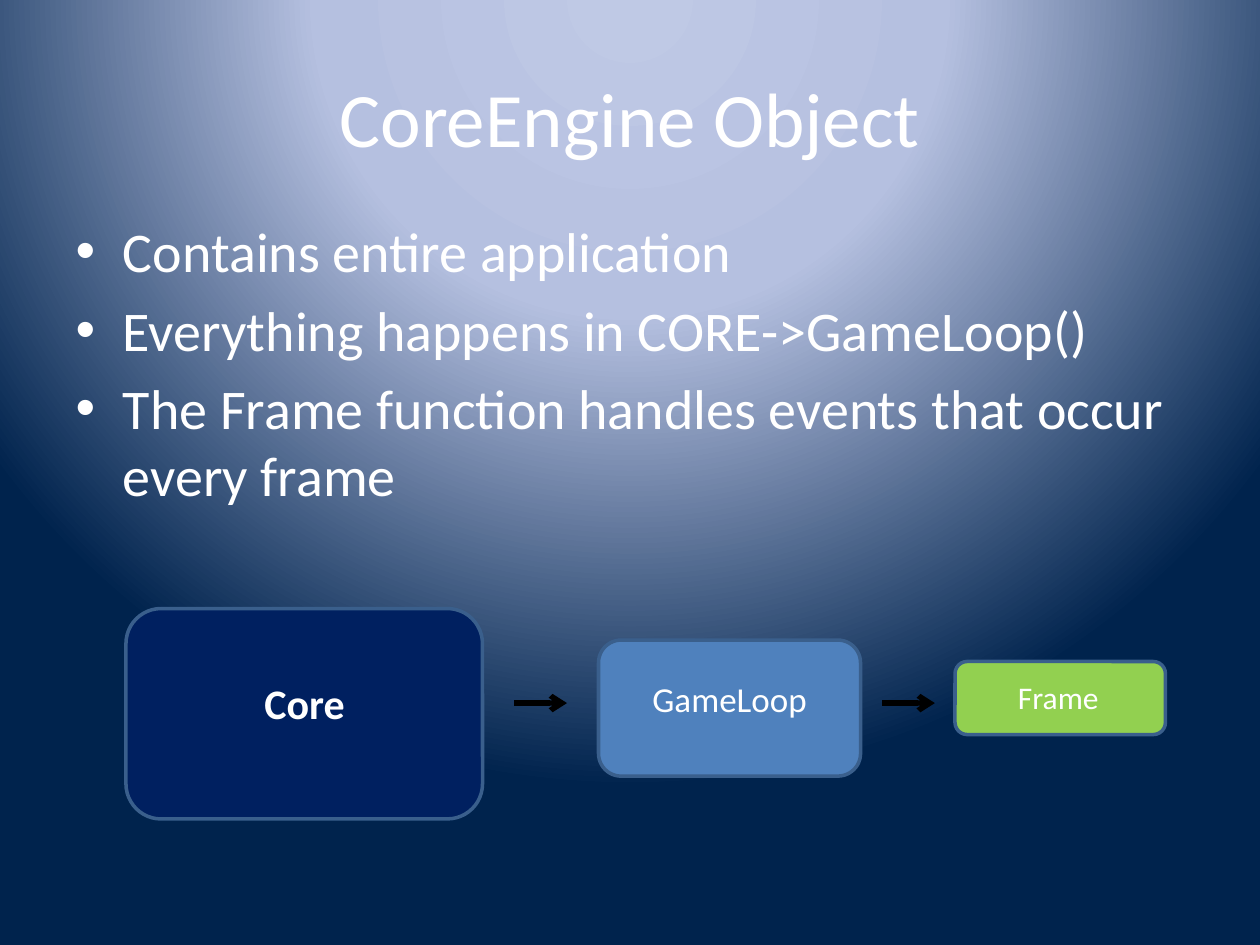
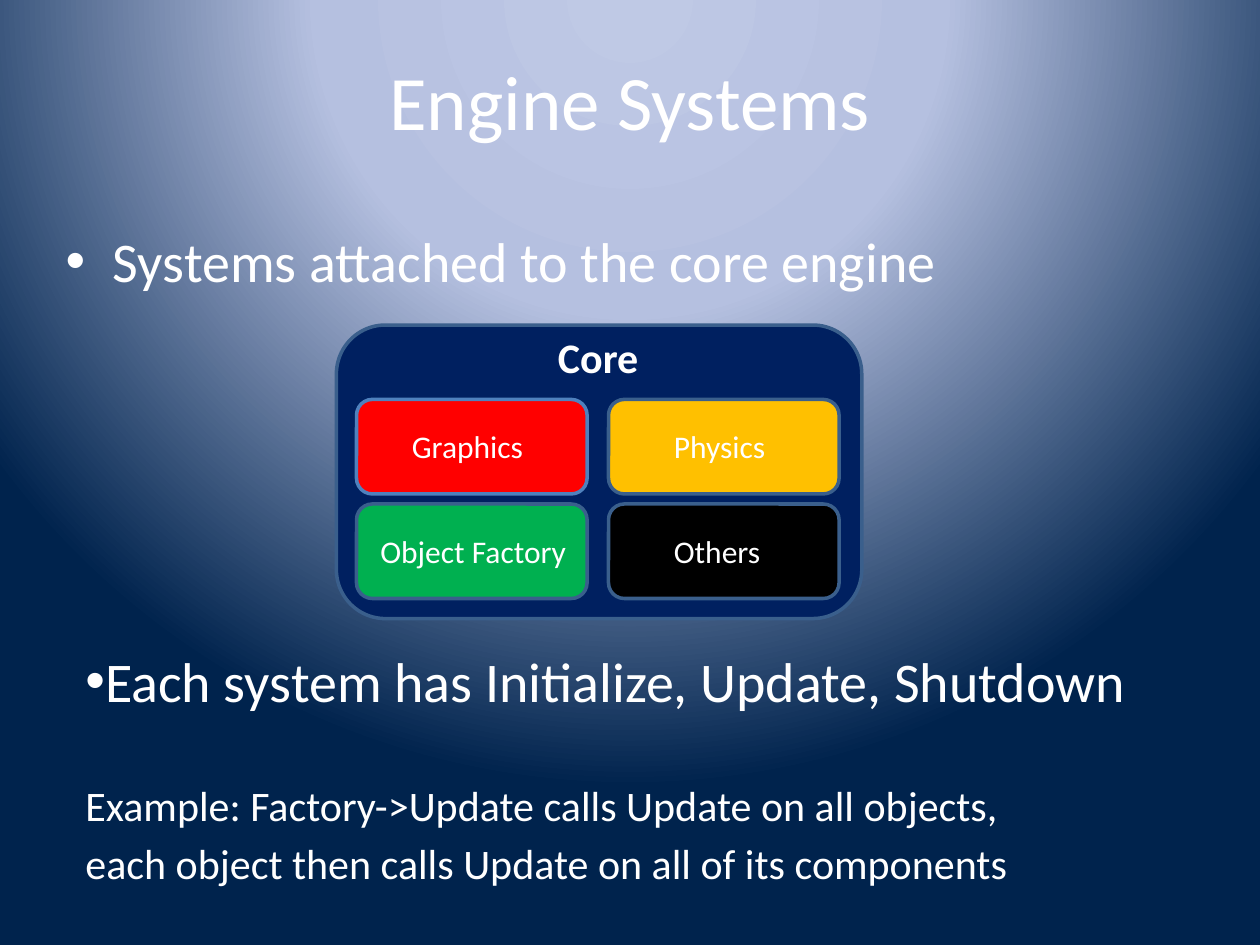
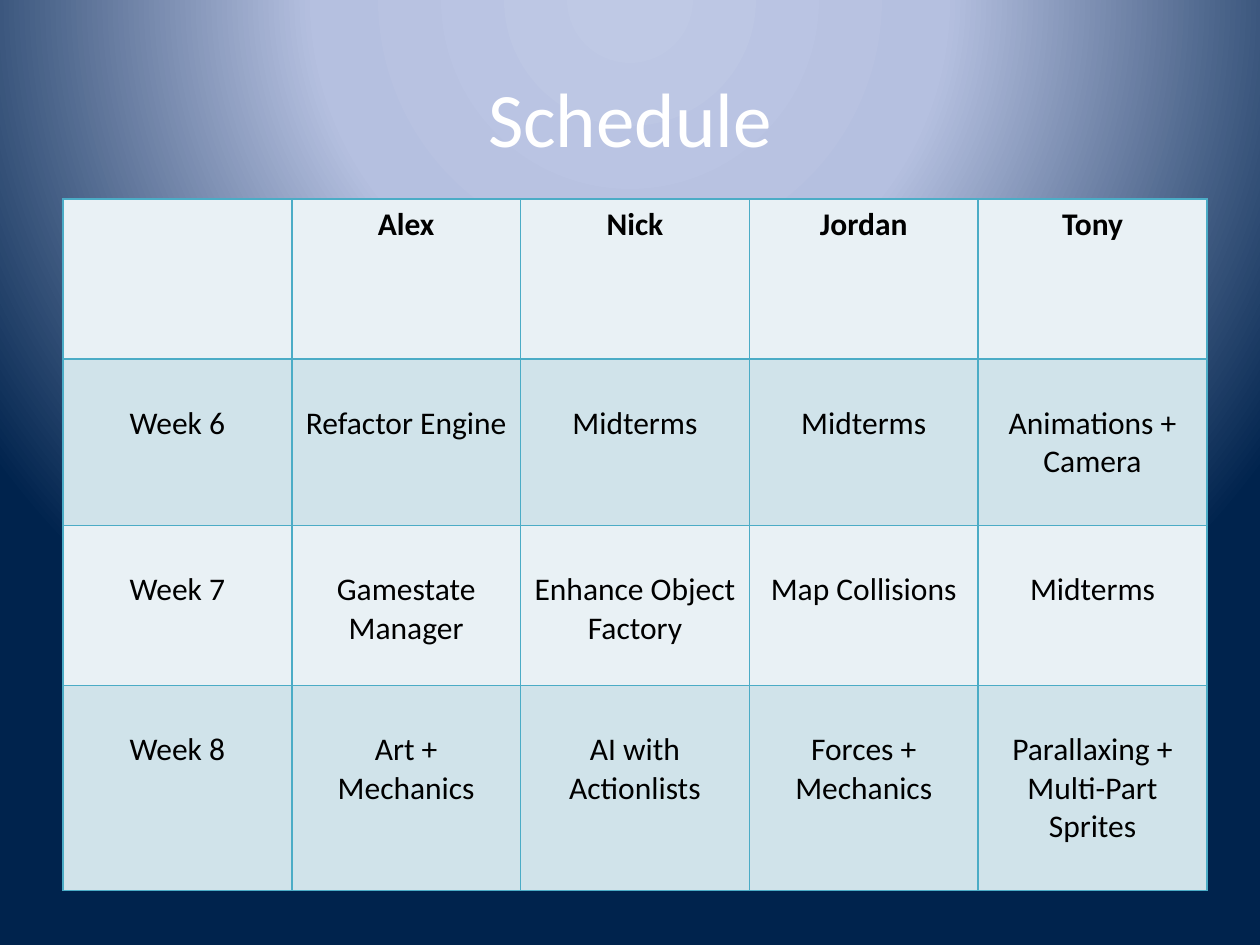
from pptx import Presentation
from pptx.dml.color import RGBColor
from pptx.enum.shapes import MSO_CONNECTOR, MSO_SHAPE
from pptx.enum.text import MSO_ANCHOR, MSO_AUTO_SIZE, PP_ALIGN
from pptx.oxml import parse_xml
from pptx.oxml.ns import nsdecls, qn
from pptx.util import Inches, Pt
from lxml.etree import SubElement

# Shared look
FONT = "Calibri"
WHITE, BLACK, NAVY = "FFFFFF", "000000", "002060"
EDGE, BLUE, TEAL = "3A5F8C", "4F81BD", "4BACC6"
BANDS = ("E9F1F5", "D0E3EA")
BACKGROUND_STOPS = ((0, "BFC9E5"), (40, "B5C0E0"), (100, "00234D"))
TITLE_ONLY, TITLE_AND_BODY = 5, 1

# Slide 1: box place, fill, label, label place, size, bold
CORE_BULLETS = (
    "Contains entire application",
    "Everything happens in CORE->GameLoop()",
    "The Frame function handles events that occur every frame",
)
CALL_CHAIN = (
    ((1, 4.83, 2.83, 1.67), NAVY, "Core", (2, 5.33, 0.84, 0.5), 24, True),
    ((4.75, 5.08, 2.08, 1.08), BLUE, "GameLoop", (5.08, 5.33, 1.44, 0.44), 20, False),
    ((7.58, 5.25, 1.67, 0.58), "92D050", "Frame", (7.98, 5.33, 0.85, 0.4), 18, False),
)
CALL_ARROWS = (4.08, 7)
ARROW_LENGTH, ARROW_Y = 0.42, 5.58

# Slide 2: name, fill, edge, label left, label width; two per row
SYSTEMS_BULLETS = ("Systems attached to the core engine",)
ENGINE_SYSTEMS = (
    ("Graphics", "FF0000", BLUE, 3.17, 1.09),
    ("Physics", "FFC000", EDGE, 5.25, 0.93),
    ("Object Factory", "00B050", EDGE, 2.92, 1.69),
    ("Others", BLACK, EDGE, 5.25, 0.89),
)
SYSTEM_LEFT, SYSTEM_TOP, SYSTEM_W, SYSTEM_H = 2.83, 3.17, 1.83, 0.75
SYSTEM_STEP_X, SYSTEM_STEP_Y = 2, 0.83
# text, size, space before
SYSTEM_NOTES = (
    ("Each system has Initialize, Update, Shutdown", 32, 0),
    ("Example: Factory->Update calls Update on all objects,", 24, 38),
    ("each object then calls Update on all of its components", 24, 4),
)

# Slide 3: a tuple in a cell is one paragraph per entry
SCHEDULE = (
    ("", "Alex", "Nick", "Jordan", "Tony"),
    ("Week 6", "Refactor Engine", "Midterms", "Midterms", ("Animations +", "Camera")),
    ("Week 7", "Gamestate Manager", "Enhance Object Factory", "Map Collisions", "Midterms"),
    ("Week 8", ("Art +", "Mechanics"), "AI with Actionlists", "Forces + Mechanics",
     ("Parallaxing +", "Multi-Part Sprites")),
)
ROW_HEIGHTS = (1.27, 1.32, 1.27, 1.63)
SCHEDULE_LEFT, SCHEDULE_TOP, SCHEDULE_W = 0.5, 1.58, 9.08


def rgb(color):
    return RGBColor.from_string(color)


def inches(place):
    return [Inches(length) for length in place]


def add_run(paragraph, text, size, color=WHITE, bold=False):
    run = paragraph.add_run()
    run.text = text
    run.font.name, run.font.size, run.font.bold = FONT, Pt(size), bold
    run.font.color.rgb = rgb(color)


def paragraphs(frame, count):
    """Give the frame this many paragraphs and return them."""
    for _ in range(count - 1):
        frame.add_paragraph()
    return frame.paragraphs


def move(shape, place):
    shape.left, shape.top, shape.width, shape.height = inches(place)


def set_background(master):
    stops = "".join(
        f'<a:gs pos="{pos * 1000}"><a:srgbClr val="{color}"/></a:gs>'
        for pos, color in BACKGROUND_STOPS)
    background = parse_xml(
        f'<p:bg {nsdecls("p", "a")}><p:bgPr><a:gradFill rotWithShape="1">'
        f'<a:gsLst>{stops}</a:gsLst><a:path path="circle">'
        '<a:fillToRect l="50000" t="-80000" r="50000" b="180000"/></a:path>'
        '</a:gradFill><a:effectLst/></p:bgPr></p:bg>')
    common = master.element.cSld
    for old in common.findall(qn("p:bg")):
        common.remove(old)
    common.insert(0, background)


def add_slide(deck, layout, title, title_top=0.3):
    slide = deck.slides.add_slide(deck.slide_layouts[layout])
    heading = slide.shapes.title
    move(heading, (0.5, title_top, 9, 1.25))
    heading.text_frame.vertical_anchor = MSO_ANCHOR.MIDDLE
    paragraph = heading.text_frame.paragraphs[0]
    paragraph.alignment = PP_ALIGN.CENTER
    add_run(paragraph, title, 44)
    return slide


def fill_body(slide, bullets, place):
    body = slide.placeholders[1]
    move(body, place)
    for paragraph, bullet in zip(paragraphs(body.text_frame, len(bullets)), bullets):
        add_run(paragraph, bullet, 32)


def add_box(slide, place, fill, edge=EDGE):
    box = slide.shapes.add_shape(MSO_SHAPE.ROUNDED_RECTANGLE, *inches(place))
    box.shadow.inherit = False
    box.fill.solid()
    box.fill.fore_color.rgb = rgb(fill)
    box.line.color.rgb = rgb(edge)
    box.line.width = Pt(2)


def add_label(slide, text, place, size, bold=False):
    frame = slide.shapes.add_textbox(*inches(place)).text_frame
    frame.word_wrap = False
    frame.auto_size = MSO_AUTO_SIZE.SHAPE_TO_FIT_TEXT
    add_run(frame.paragraphs[0], text, size, bold=bold)


def add_arrow(slide, left, y, length):
    arrow = slide.shapes.add_connector(
        MSO_CONNECTOR.STRAIGHT, *inches((left, y, left + length, y)))
    arrow.line.color.rgb = rgb(BLACK)
    arrow.line.width = Pt(3)
    SubElement(arrow.line._get_or_add_ln(), qn("a:tailEnd"), type="arrow")
    SubElement(arrow._element.spPr, qn("a:effectLst"))


def style_cell(cell, fill):
    cell.fill.solid()
    cell.fill.fore_color.rgb = rgb(fill)
    for position, side in enumerate(("lnL", "lnR", "lnT", "lnB")):
        border = parse_xml(
            f'<a:{side} {nsdecls("a")} w="12700"><a:solidFill>'
            f'<a:srgbClr val="{TEAL}"/></a:solidFill></a:{side}>')
        cell._tc.get_or_add_tcPr().insert(position, border)


def core_engine_slide(deck):
    slide = add_slide(deck, TITLE_AND_BODY, "CoreEngine Object")
    fill_body(slide, CORE_BULLETS, (0.5, 1.67, 9, 4.95))
    for place, fill, label, label_place, size, bold in CALL_CHAIN:
        add_box(slide, place, fill)
        add_label(slide, label, label_place, size, bold)
    for left in CALL_ARROWS:
        add_arrow(slide, left, ARROW_Y, ARROW_LENGTH)


def engine_systems_slide(deck):
    slide = add_slide(deck, TITLE_AND_BODY, "Engine Systems", 0.17)
    fill_body(slide, SYSTEMS_BULLETS, (0.42, 1.75, 9, 0.83))

    # Core with its systems in a grid
    add_box(slide, (2.67, 2.58, 4.17, 2.33), NAVY)
    add_label(slide, "Core", (4.33, 2.58, 0.85, 0.5), 24, True)
    for index, (name, fill, edge, label_left, label_width) in enumerate(ENGINE_SYSTEMS):
        row, column = divmod(index, 2)
        top = SYSTEM_TOP + row * SYSTEM_STEP_Y
        left = SYSTEM_LEFT + column * SYSTEM_STEP_X
        add_box(slide, (left, top, SYSTEM_W, SYSTEM_H), fill, edge)
        add_label(slide, name, (label_left, top + 0.17, label_width, 0.4), 18)

    # Notes under the grid; only the first has a bullet
    notes = slide.shapes.add_textbox(*inches((0.58, 5.08, 9, 2))).text_frame
    notes.word_wrap = True
    lines = paragraphs(notes, len(SYSTEM_NOTES))
    for paragraph, (text, size, before) in zip(lines, SYSTEM_NOTES):
        paragraph.space_before = Pt(before)
        add_run(paragraph, text, size)
    bullet = lines[0]._p.get_or_add_pPr()
    SubElement(bullet, qn("a:buFont"), typeface="Arial")
    SubElement(bullet, qn("a:buChar"), char="•")


def schedule_slide(deck):
    slide = add_slide(deck, TITLE_ONLY, "Schedule")
    columns = len(SCHEDULE[0])
    place = (SCHEDULE_LEFT, SCHEDULE_TOP, SCHEDULE_W, sum(ROW_HEIGHTS))
    table = slide.shapes.add_table(len(SCHEDULE), columns, *inches(place)).table
    for column in table.columns:
        column.width = Inches(SCHEDULE_W / columns)
    for r, (height, entries) in enumerate(zip(ROW_HEIGHTS, SCHEDULE)):
        table.rows[r].height = Inches(height)
        for c, entry in enumerate(entries):
            cell = table.cell(r, c)
            style_cell(cell, BANDS[r % 2])
            cell.margin_top = Inches(0.36 if r else 0.05)
            if not entry:
                continue
            lines = (entry,) if isinstance(entry, str) else entry
            for paragraph, line in zip(paragraphs(cell.text_frame, len(lines)), lines):
                paragraph.alignment = PP_ALIGN.CENTER
                add_run(paragraph, line, 18, BLACK, bold=r == 0)


def main():
    deck = Presentation()
    deck.slide_width, deck.slide_height = Inches(10), Inches(7.5)
    set_background(deck.slide_master)
    core_engine_slide(deck)
    engine_systems_slide(deck)
    schedule_slide(deck)
    deck.save("out.pptx")


if __name__ == "__main__":
    main()
